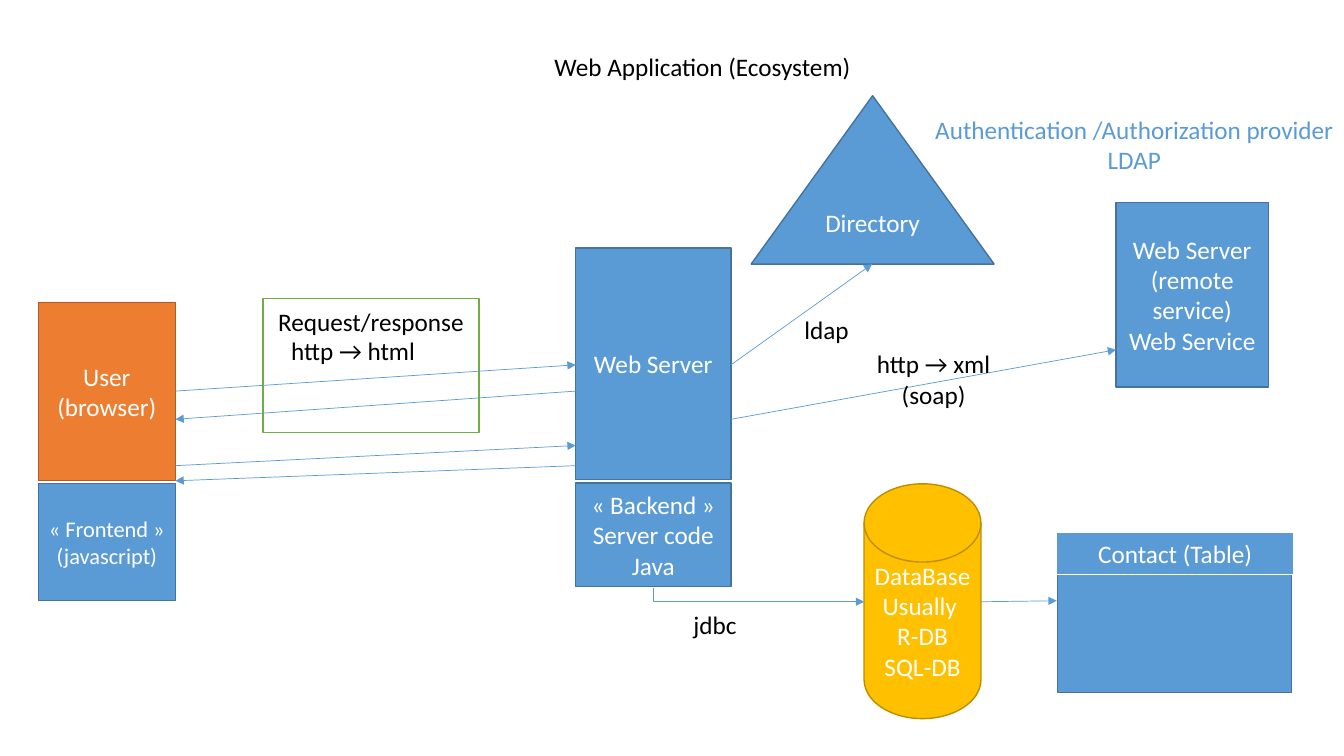
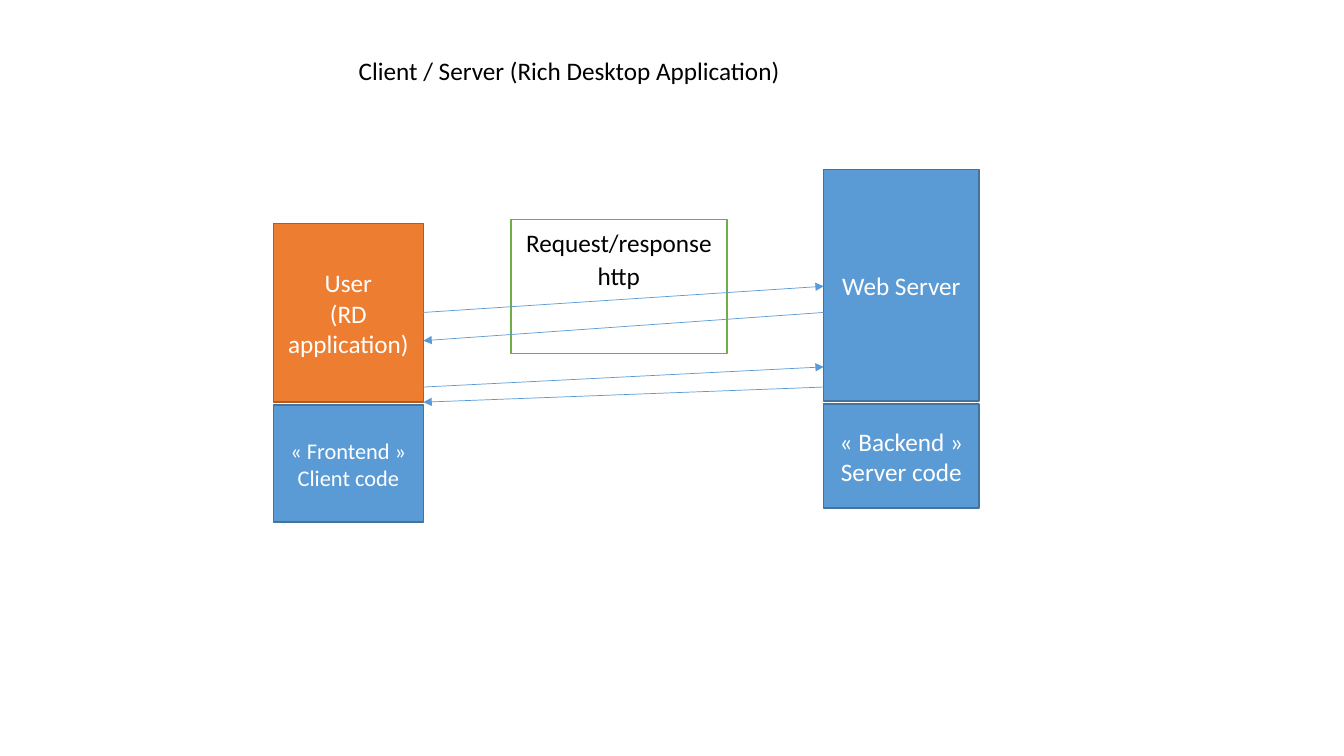
from dataclasses import dataclass
from lxml import etree
from pptx import Presentation, util as u
from pptx.dml.color import RGBColor
from pptx.enum import shapes, text
from pptx.oxml.ns import qn


@dataclass(frozen=True)
class Theme:
    font: str = "Calibri"
    size: int = 18
    small: int = 16
    edge: float = 1
    wire: float = 0.5
    white: str = "FFFFFF"
    black: str = "000000"
    blue: str = "5B9BD5"
    navy: str = "43739E"
    orange: str = "ED7D31"
    rust: str = "AF5C24"
    gold: str = "FFC000"
    bronze: str = "BD8E00"
    green: str = "70AD47"


T = Theme()
LOOKS = {
    "blue": (T.blue, T.navy, T.white, T.size),
    "code": (T.blue, T.navy, T.white, T.small),
    "head": (T.blue, T.white, T.white, T.size),
    "user": (T.orange, T.rust, T.white, T.size),
    "data": (T.gold, T.bronze, T.white, T.size),
    "note": (T.white, T.green, T.black, T.size),
}
KINDS = shapes.MSO_SHAPE
RECT, DISK, PEAK = KINDS.RECTANGLE, KINDS.FLOWCHART_MAGNETIC_DISK, KINDS.ISOSCELES_TRIANGLE

SPAN = 3.97
CALLS = [(1.42, 1.16, True), (1.42, 1.7, False), (2.16, 1.96, True), (2.16, 2.31, False)]

PAGES = [
    {
        "server": (5.71, 2.46),
        "wide": 1.36,
        "user": "User\n(browser)",
        "front": "«\u00a0Frontend\u00a0»\n(javascript)",
        "back": "«\u00a0Backend\u00a0»\nServer code\nJava",
        "nodes": [
            ("data", DISK, (8.57, 4.8, 1.16, 2.33), "DataBase\nUsually \nR-DB\nSQL-DB"),
            ("blue", RECT, (10.49, 5.29, 2.32, 1.58), ""),
            ("head", RECT, (10.48, 5.28, 2.35, 0.42), "Contact (Table)"),
            ("blue", PEAK, (7.45, 0.95, 2.41, 1.67), "Directory"),
            ("blue", RECT, (11.07, 2.01, 1.51, 1.83), "Web Server\n(remote service)\nWeb Service"),
        ],
        "wires": [
            ((9.73, 5.97), (10.48, 5.96)),
            ((7.25, 3.62), (8.65, 2.62)),
            ((7.25, 4.16), (11.07, 3.47)),
        ],
        "bends": [((6.48, 5.83), (8.57, 5.97))],
        "labels": [
            ((5.4, 0.46, 3.17, 0.4), "Web Application (Ecosystem)", T.black),
            ((2.79, 3.28, 1.47, 0.4), "http → html", T.black),
            ((9.15, 1.08, 4.2, 1.01), "Authentication /Authorization provider\nLDAP", T.blue),
            ((6.78, 6, 0.63, 0.4), "jdbc", T.black),
            ((7.88, 3.07, 0.65, 0.4), "ldap", T.black),
            ((8.58, 3.41, 1.36, 0.71), "http → xml\n(soap)", T.black),
        ],
    },
    {
        "server": (8.17, 1.68),
        "wide": 1.49,
        "user": "User\n(RD application)",
        "front": "«\u00a0Frontend\u00a0»\nClient code",
        "back": "«\u00a0Backend\u00a0»\nServer code",
        "nodes": [],
        "wires": [],
        "bends": [],
        "labels": [
            ((3.46, 0.5, 4.43, 0.4), "Client / Server (Rich Desktop Application)", T.black),
            ((5.83, 2.53, 0.63, 0.4), "http", T.black),
        ],
    },
]


def rgb(code):
    return RGBColor.from_string(code)


def inch(nums):
    return [u.Inches(n) for n in nums]


def write(frame, words, ink, size, align):
    frame.text = words
    for par in frame.paragraphs:
        par.alignment = align
        par.font.name, par.font.size = T.font, u.Pt(size)
        par.font.color.rgb = rgb(ink)


def node(slide, look, kind, box, words):
    fill, edge, ink, size = LOOKS[look]
    item = slide.shapes.add_shape(kind, *inch(box))
    item.shadow.inherit = False
    item.fill.solid()
    item.fill.fore_color.rgb = rgb(fill)
    item.line.color.rgb = rgb(edge)
    item.line.width = u.Pt(T.edge)
    frame = item.text_frame
    frame.word_wrap = True
    frame.vertical_anchor = text.MSO_ANCHOR.MIDDLE
    if look == "note":
        frame.vertical_anchor = text.MSO_ANCHOR.TOP
        frame.margin_top = u.Inches(0.08)
    if words:
        write(frame, words, ink, size, text.PP_ALIGN.CENTER)


def label(slide, box, words, ink):
    frame = slide.shapes.add_textbox(*inch(box)).text_frame
    frame.word_wrap = False
    frame.auto_size = text.MSO_AUTO_SIZE.SHAPE_TO_FIT_TEXT
    align = text.PP_ALIGN.CENTER if "\n" in words else text.PP_ALIGN.LEFT
    write(frame, words, ink, T.size, align)


def wire(slide, start, end):
    item = slide.shapes.add_connector(shapes.MSO_CONNECTOR.STRAIGHT, *inch(start + end))
    item.line.color.rgb = rgb(T.blue)
    item.line.width = u.Pt(T.wire)
    etree.SubElement(item.line._get_or_add_ln(), qn("a:tailEnd"), type="triangle")
    etree.SubElement(item.element.spPr, qn("a:effectLst"))
    return item


def bend(slide, start, end):
    item = wire(slide, start, end)
    wide, high = item.width, item.height
    item.left += (wide - high) // 2
    item.top += (high - wide) // 2
    item.width, item.height = high, wide
    props = item.element.spPr
    props.find(qn("a:prstGeom")).set("prst", "bentConnector2")
    frame = props.find(qn("a:xfrm"))
    frame.set("rot", str(270 * 60000))
    frame.set("flipH", "1")


def core(slide, page):
    x, y = page["server"]
    wide = page["wide"]
    right = x - SPAN
    left = right - wide
    parts = [
        ("note", (x - 3.1, y + 0.5, 2.14, 1.33), "Request/response"),
        ("blue", (x, y, 1.54, 2.3), "Web Server"),
        ("blue", (x, y + 2.33, 1.54, 1.03), page["back"]),
        ("user", (left, y + 0.54, wide, 1.77), page["user"]),
        ("code", (left, y + 2.34, wide, 1.16), page["front"]),
    ]
    for look, box, words in parts:
        node(slide, look, RECT, box, words)
    for start, end, out in CALLS:
        ends = (right, x) if out else (x, right)
        wire(slide, (ends[0], y + start), (ends[1], y + end))


def main():
    deck = Presentation()
    deck.slide_width, deck.slide_height = inch((13.33, 7.5))
    for page in PAGES:
        slide = deck.slides.add_slide(deck.slide_layouts[6])
        core(slide, page)
        for part in page["nodes"]:
            node(slide, *part)
        for ends in page["wires"]:
            wire(slide, *ends)
        for ends in page["bends"]:
            bend(slide, *ends)
        for part in page["labels"]:
            label(slide, *part)
    deck.save("out.pptx")


main()
